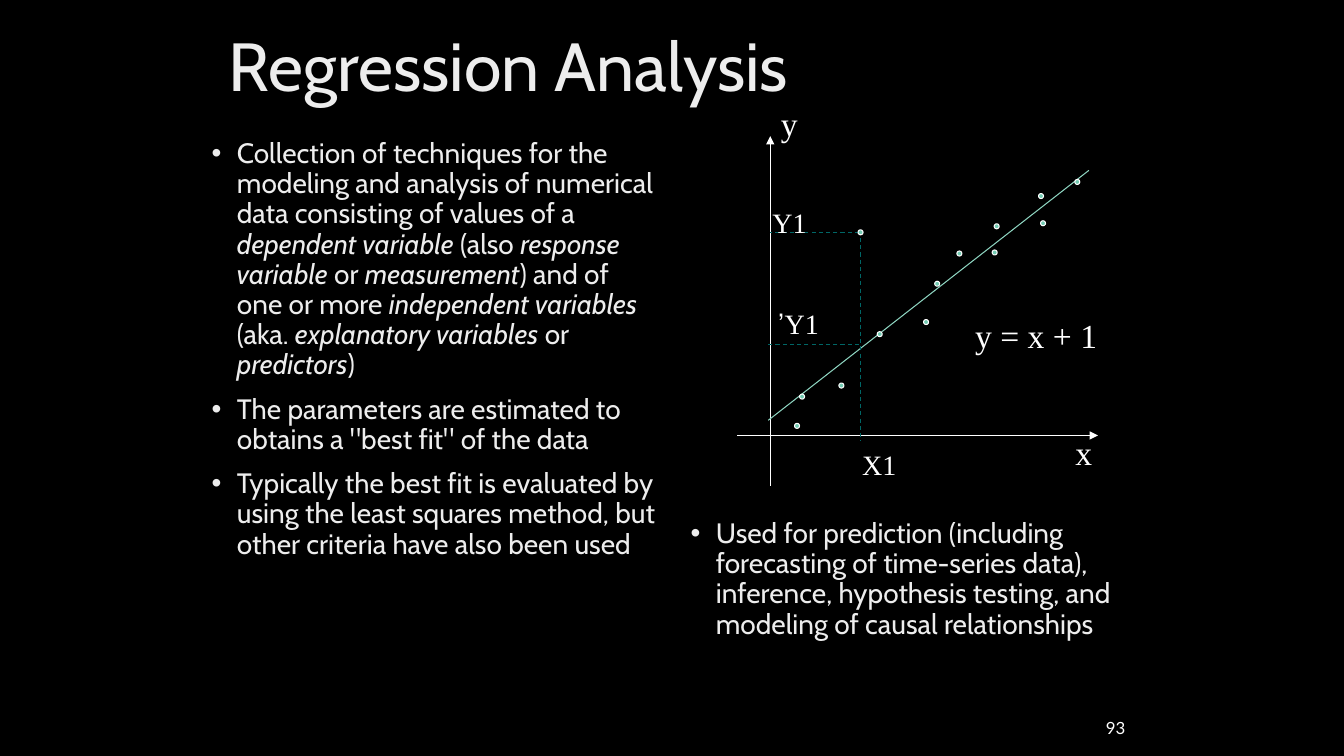
from dataclasses import dataclass

import pptx
import pptx.dml.color
import pptx.enum.dml
import pptx.enum.shapes
import pptx.enum.text
import pptx.oxml
import pptx.oxml.ns
import pptx.util
from pptx.util import Inches

RGBColor = pptx.dml.color.RGBColor
BLACK = RGBColor(0x00, 0x00, 0x00)
WHITE = RGBColor(0xFF, 0xFF, 0xFF)
SILVER = RGBColor(0xED, 0xED, 0xED)
MINT = RGBColor(0x73, 0xCB, 0xB2)
PALE_MINT = RGBColor(0x8E, 0xD5, 0xC1)
TEAL = RGBColor(0x00, 0x66, 0x66)

ALIGN = pptx.enum.text.PP_ALIGN
ANCHOR = pptx.enum.text.MSO_ANCHOR
NO_FIT = pptx.enum.text.MSO_AUTO_SIZE.NONE
LINE_WIDTH = pptx.util.Pt(0.75)
DOT_SIZE = 0.05


@dataclass
class Label:
    text: str
    left: float
    top: float
    width: float
    height: float
    size: float = 24
    font: str = "Times New Roman"
    rtl: bool = True


@dataclass
class Segment:
    start: tuple[float, float]
    end: tuple[float, float]
    color: RGBColor
    arrow: bool = False
    dashed: bool = False


def apply(target: object, values: dict) -> None:
    for name, value in values.items():
        setattr(target, name, value)


def place(box, left: float, top: float, width: float, height: float) -> None:
    apply(box, {"left": Inches(left), "top": Inches(top),
                "width": Inches(width), "height": Inches(height)})


def add_span(para, text: str, size: float, font: str, color: RGBColor, italic: bool = False) -> None:
    span = para.add_run()
    span.text = text
    apply(span.font, {"size": pptx.util.Pt(size), "name": font, "italic": italic})
    span.font.color.rgb = color


def fill_list(box, items: list[list[str]]) -> None:
    """Every second part of an item is italic."""
    frame = box.text_frame
    apply(frame, {"auto_size": NO_FIT, "vertical_anchor": ANCHOR.TOP})
    for number, parts in enumerate(items):
        para = frame.add_paragraph() if number else frame.paragraphs[0]
        apply(para, {"line_spacing": 0.9, "space_before": pptx.util.Pt(10)})
        properties = para._p.get_or_add_pPr()
        properties.set("marL", str(Inches(0.25)))
        properties.set("indent", str(Inches(-0.25)))
        for index, text in enumerate(parts):
            add_span(para, text, 20, "Cabin", SILVER, index % 2 == 1)


def add_label(page, label: Label) -> None:
    box = page.shapes.add_textbox(Inches(label.left), Inches(label.top),
                                  Inches(label.width), Inches(label.height))
    apply(box.text_frame, {"word_wrap": not label.rtl, "vertical_anchor":
                           ANCHOR.TOP if label.rtl else ANCHOR.MIDDLE})
    para = box.text_frame.paragraphs[0]
    para.alignment = ALIGN.RIGHT
    if label.rtl:
        para._p.get_or_add_pPr().set("rtl", "1")
    add_span(para, label.text, label.size, label.font, WHITE)


def add_segment(page, segment: Segment) -> None:
    points = [Inches(value) for value in segment.start + segment.end]
    line = page.shapes.add_connector(pptx.enum.shapes.MSO_CONNECTOR.STRAIGHT, *points)
    line.line.color.rgb = segment.color
    line.line.width = LINE_WIDTH
    if segment.dashed:
        line.line.dash_style = pptx.enum.dml.MSO_LINE.DASH
    namespace = pptx.oxml.ns.nsdecls("a")
    if segment.arrow:
        line.line._get_or_add_ln().append(
            pptx.oxml.parse_xml(f'<a:tailEnd {namespace} type="triangle"/>'))
    line._element.spPr.append(pptx.oxml.parse_xml(f"<a:effectLst {namespace}/>"))


def add_dot(page, left: float, top: float) -> None:
    dot = page.shapes.add_shape(pptx.enum.shapes.MSO_SHAPE.OVAL, Inches(left), Inches(top),
                                Inches(DOT_SIZE), Inches(DOT_SIZE))
    dot.shadow.inherit = False
    dot.fill.solid()
    dot.fill.fore_color.rgb = MINT
    dot.line.color.rgb = WHITE
    dot.line.width = LINE_WIDTH


DEFINITIONS = [
    ["Collection of techniques for the modeling and analysis of numerical data "
     "consisting of values of a ", "dependent variable ", "(also ", "response variable ",
     "or ", "measurement", ") and of one or more ", "independent variables ",
     "(aka. ", "explanatory variables", " or ", "predictors", ")"],
    ['The parameters are estimated to obtains a "best fit" of the data'],
    ["Typically the best fit is evaluated by using the least squares method, "
     "but other criteria have also been used"],
]
USES = [["Used for prediction (including forecasting of time-series data), inference, "
         "hypothesis testing, and modeling of causal relationships"]]

SEGMENTS = [
    Segment((7.31, 4.32), (10.89, 4.32), WHITE, arrow=True),
    Segment((7.64, 4.82), (7.64, 1.35), WHITE, arrow=True),
    Segment((7.62, 4.17), (10.8, 1.69), PALE_MINT),
    Segment((8.53, 2.29), (8.53, 4.38), TEAL, dashed=True),
    Segment((8.52, 2.31), (7.64, 2.31), TEAL, dashed=True),
    Segment((8.52, 3.42), (7.62, 3.42), TEAL, dashed=True),
]
DOTS = [(9.16, 3.17), (8.7, 3.29), (8.51, 2.28), (8.32, 3.8), (9.27, 2.79),
        (9.49, 2.49), (7.93, 3.91), (9.84, 2.48), (9.86, 2.22), (10.32, 2.19),
        (7.88, 4.2), (10.3, 1.92), (10.66, 1.78)]
LABELS = [
    Label("93", 9.18, 7.06, 2.08, 0.33, 12, "Lato", rtl=False),
    Label("y", 7.64, 0.97, 0.37, 0.5),
    Label("x", 10.56, 4.24, 0.37, 0.5),
    Label("y = x + 1", 9.57, 3.08, 1.41, 0.5),
    Label("X1", 8.45, 4.39, 0.54, 0.43, 20),
    Label("Y1", 7.56, 1.99, 0.54, 0.43, 20),
    Label("Y1\u2019", 7.59, 2.99, 0.63, 0.43, 20),
]

# Page
deck = pptx.Presentation()
apply(deck, {"slide_width": Inches(13.33), "slide_height": Inches(7.5)})
page = deck.slides.add_slide(deck.slide_layouts.get_by_name("Two Content"))
page.background.fill.solid()
page.background.fill.fore_color.rgb = BLACK

# Title
title = page.shapes.title
place(title, 2.17, 0.35, 9, 0.67)
apply(title.text_frame, {"auto_size": NO_FIT, "vertical_anchor": ANCHOR.MIDDLE})
heading = title.text_frame.paragraphs[0]
apply(heading, {"alignment": ALIGN.LEFT, "line_spacing": 0.9})
add_span(heading, "Regression Analysis", 48.6, "Cabin", SILVER)

# Bullet lists
definitions, uses = page.placeholders[1], page.placeholders[2]
place(definitions, 2, 1.33, 4.64, 5.42)
fill_list(definitions, DEFINITIONS)
place(uses, 6.75, 5.1, 4.6, 1.62)
fill_list(uses, USES)

# Regression plot and page number
for segment in SEGMENTS:
    add_segment(page, segment)
for left, top in DOTS:
    add_dot(page, left, top)
for label in LABELS:
    add_label(page, label)

deck.save("out.pptx")
